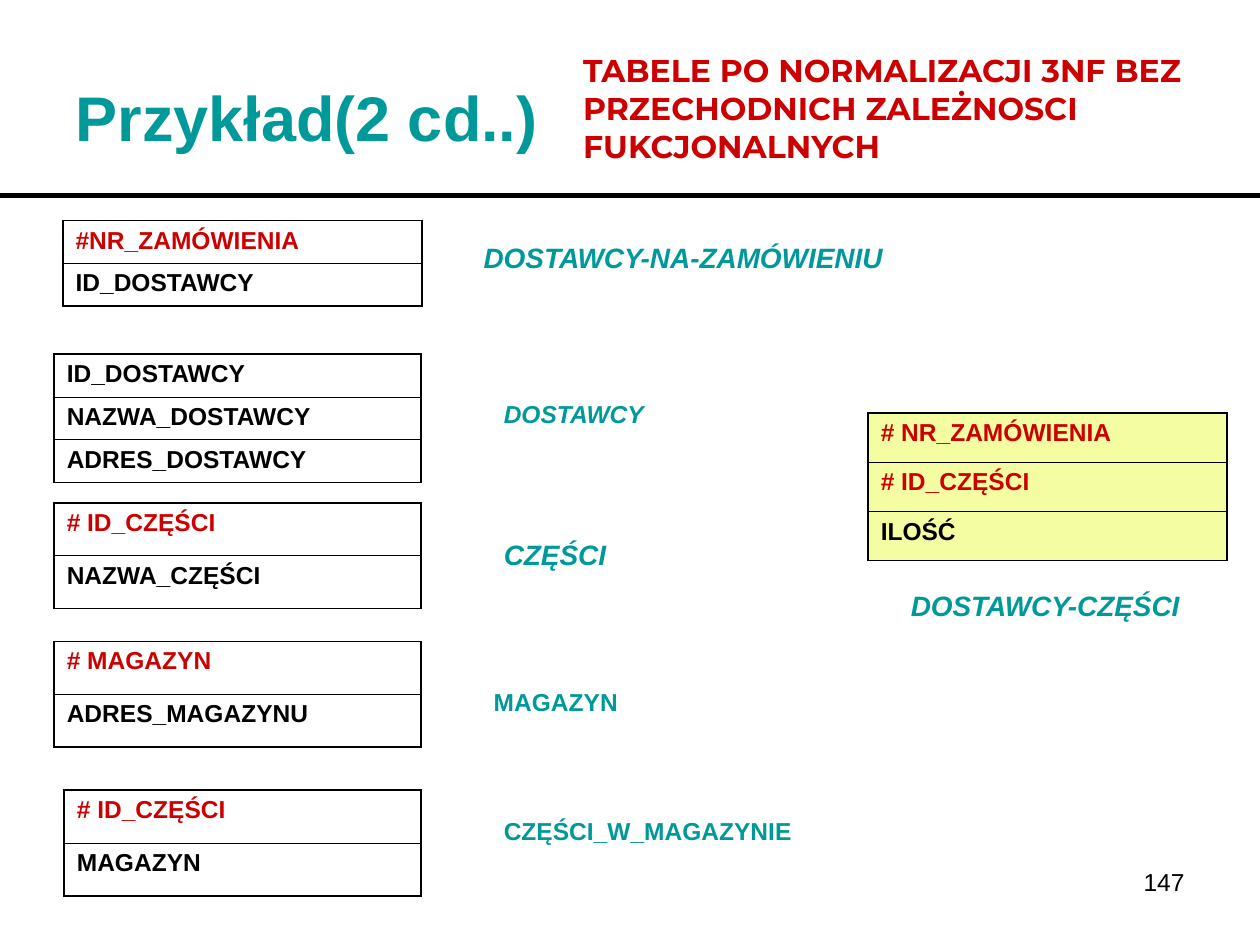
import pptx
import pptx.dml.color
import pptx.enum.shapes
import pptx.enum.text
import pptx.oxml.ns
import pptx.util
from lxml import etree

Inches = pptx.util.Inches
Pt = pptx.util.Pt
RGBColor = pptx.dml.color.RGBColor
PP_ALIGN = pptx.enum.text.PP_ALIGN
MSO_ANCHOR = pptx.enum.text.MSO_ANCHOR
qn = pptx.oxml.ns.qn

TEAL = RGBColor(0x00, 0x99, 0x99)
RED = RGBColor(0xCC, 0x00, 0x00)
BLACK = RGBColor(0x00, 0x00, 0x00)
YELLOW = RGBColor(0xF4, 0xFD, 0xA1)

OUTER, INNER = 1.08, 0.45  # border widths in points

# Relations: left, top, width, row height, fill, attributes (keys start with #)
RELATIONS = [
    (0.5, 1.75, 2.85, 0.34, None, ["#NR_ZAMÓWIENIA", "ID_DOSTAWCY"]),
    (0.43, 2.41, 2.91, 0.34, None,
     ["", "ID_DOSTAWCY", "NAZWA_DOSTAWCY", "ADRES_DOSTAWCY"]),
    (0.43, 3.99, 2.91, 0.42, None, ["# ID_CZĘŚCI", "NAZWA_CZĘŚCI"]),
    (0.43, 5.09, 2.91, 0.42, None, ["# MAGAZYN", "ADRES_MAGAZYNU"]),
    (0.51, 6.27, 2.83, 0.42, None, ["# ID_CZĘŚCI", "MAGAZYN"]),
    (6.89, 3.28, 2.85, 0.39, YELLOW,
     ["# NR_ZAMÓWIENIA", "# ID_CZĘŚCI", "ILOŚĆ"]),
]

# Relation names: left, top, width, height, text, size, italic
RELATION_NAMES = [
    (3.74, 1.86, 3.66, 0.37, "DOSTAWCY-NA-ZAMÓWIENIU", 16, True),
    (3.9, 3.12, 2.91, 0.34, "DOSTAWCY", 14, True),
    (3.9, 4.22, 1.5, 0.37, "CZĘŚCI", 16, True),
    (3.82, 5.4, 1.97, 0.34, "MAGAZYN", 14, False),
    (3.9, 6.43, 3.07, 0.34, "CZĘŚCI_W_MAGAZYNIE", 14, False),
    (7.13, 4.62, 2.68, 0.37, "DOSTAWCY-CZĘŚCI", 16, True),
]


def style_font(paragraph, size, color, bold=True, italic=False, name="Arial"):
    font = paragraph.font
    font.name, font.size = name, Pt(size)
    font.bold, font.italic = bold, italic
    font.color.rgb = color


def add_title(slide, text):
    title = slide.shapes.title
    title.left, title.top = Inches(0.5), Inches(0.3)
    title.width, title.height = Inches(9), Inches(1.25)
    title.text_frame.text = text
    title.text_frame.auto_size = pptx.enum.text.MSO_AUTO_SIZE.NONE
    title.text_frame.vertical_anchor = MSO_ANCHOR.MIDDLE
    heading = title.text_frame.paragraphs[0]
    heading.alignment = PP_ALIGN.LEFT
    style_font(heading, 36, TEAL)


def add_label(slide, left, top, width, height, text, size, color,
              align=PP_ALIGN.LEFT, **font_style):
    label = slide.shapes.add_textbox(
        Inches(left), Inches(top), Inches(width), Inches(height))
    label.text_frame.word_wrap = True
    label.text_frame.text = text
    paragraph = label.text_frame.paragraphs[0]
    paragraph.alignment = align
    style_font(paragraph, size, color, **font_style)


def add_rule(slide, top):
    rule = slide.shapes.add_connector(
        pptx.enum.shapes.MSO_CONNECTOR.STRAIGHT,
        0, Inches(top), Inches(10), Inches(top))
    rule.line.color.rgb = BLACK
    rule.line.width = Pt(3)
    etree.SubElement(rule.element.spPr, qn("a:effectLst"))


def set_borders(cell, **widths):
    """Draw the L, R, T and B borders; a width of 0 hides one."""
    properties = cell._tc.get_or_add_tcPr()
    for side in "LRTB":
        border = etree.SubElement(properties, qn("a:ln" + side))
        if widths[side]:
            border.set("w", str(Pt(widths[side])))
            fill = etree.SubElement(border, qn("a:solidFill"))
            etree.SubElement(fill, qn("a:srgbClr"), val=str(BLACK))
        else:
            etree.SubElement(border, qn("a:noFill"))


def add_relation(slide, left, top, width, row_height, fill, attributes):
    count = len(attributes)
    table = slide.shapes.add_table(
        count, 1, Inches(left), Inches(top),
        Inches(width), Inches(row_height * count)).table
    table.first_row = table.horz_banding = False
    first = 0 if attributes[0] else 1  # a blank leading row has no frame
    for row, attribute in enumerate(attributes):
        cell = table.cell(row, 0)
        side = OUTER if row >= first else 0
        above = INNER if row > first else side
        below = INNER if first <= row < count - 1 else OUTER
        set_borders(cell, L=side, R=side, T=above, B=below)
        if fill is None:
            cell.fill.background()
        else:
            cell.fill.solid()
            cell.fill.fore_color.rgb = fill
        if attribute:
            cell.text = attribute
            color = RED if attribute.startswith("#") else BLACK
            style_font(cell.text_frame.paragraphs[0], 14, color)


def main():
    presentation = pptx.Presentation()
    presentation.slide_width = Inches(10)
    presentation.slide_height = Inches(7.5)
    slide = presentation.slides.add_slide(presentation.slide_layouts[5])

    # Heading
    add_title(slide, "Przykład(2 cd..)")
    add_label(slide, 4.53, 0.36, 4.96, 1,
              "TABELE PO NORMALIZACJI 3NF BEZ PRZECHODNICH ZALEŻNOSCI "
              "FUKCJONALNYCH", 18, RED, name="Montserrat")
    add_rule(slide, 1.55)

    # Relations and their names
    for relation in RELATIONS:
        add_relation(slide, *relation)
    for left, top, width, height, text, size, italic in RELATION_NAMES:
        add_label(slide, left, top, width, height, text, size, TEAL,
                  italic=italic)

    # Page number
    add_label(slide, 7.17, 6.83, 2.33, 0.52, "147", 14, BLACK,
              align=PP_ALIGN.RIGHT, bold=False)

    presentation.save("out.pptx")


if __name__ == "__main__":
    main()
